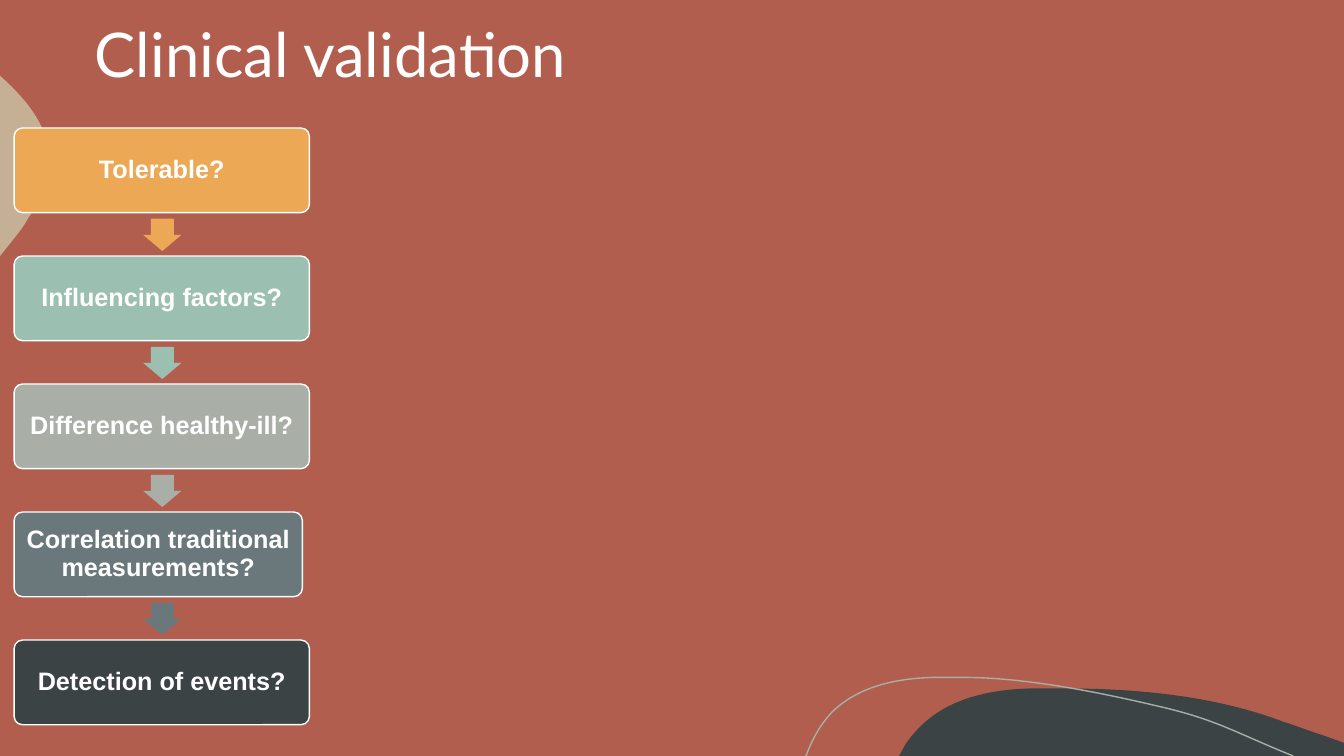
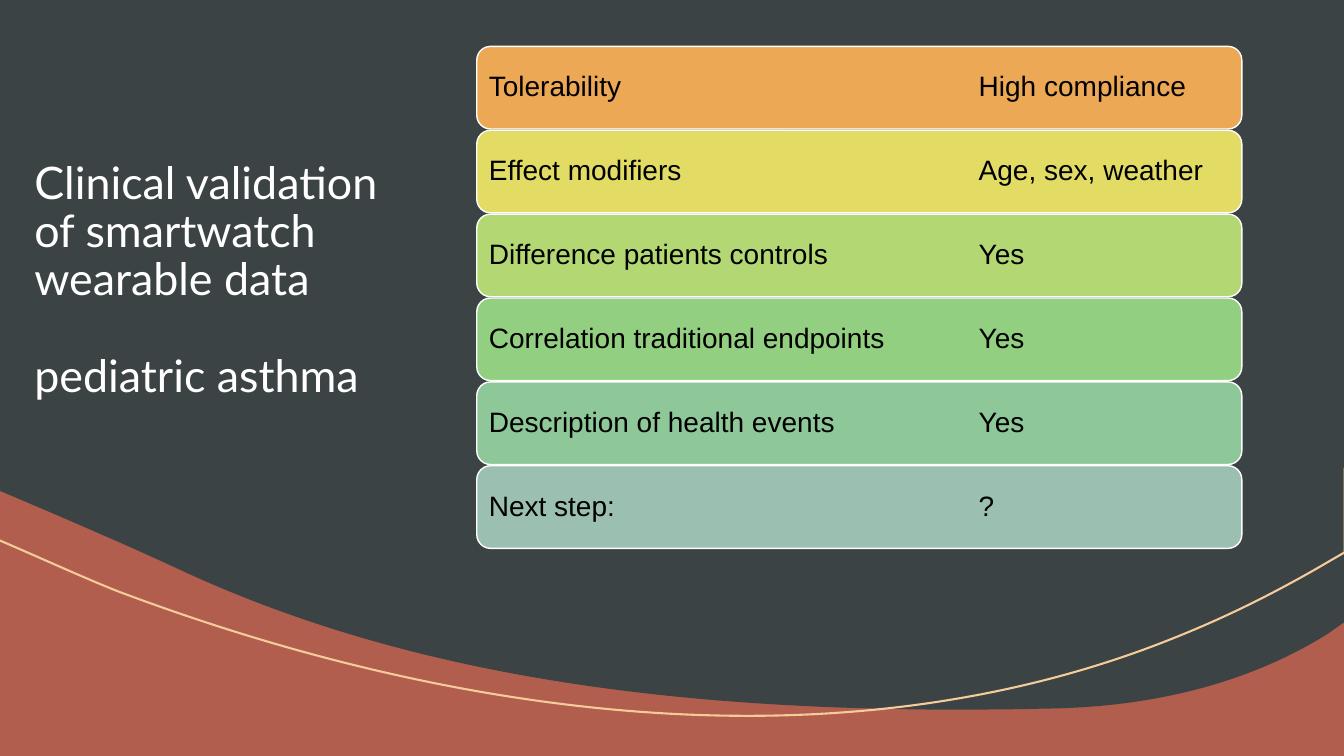
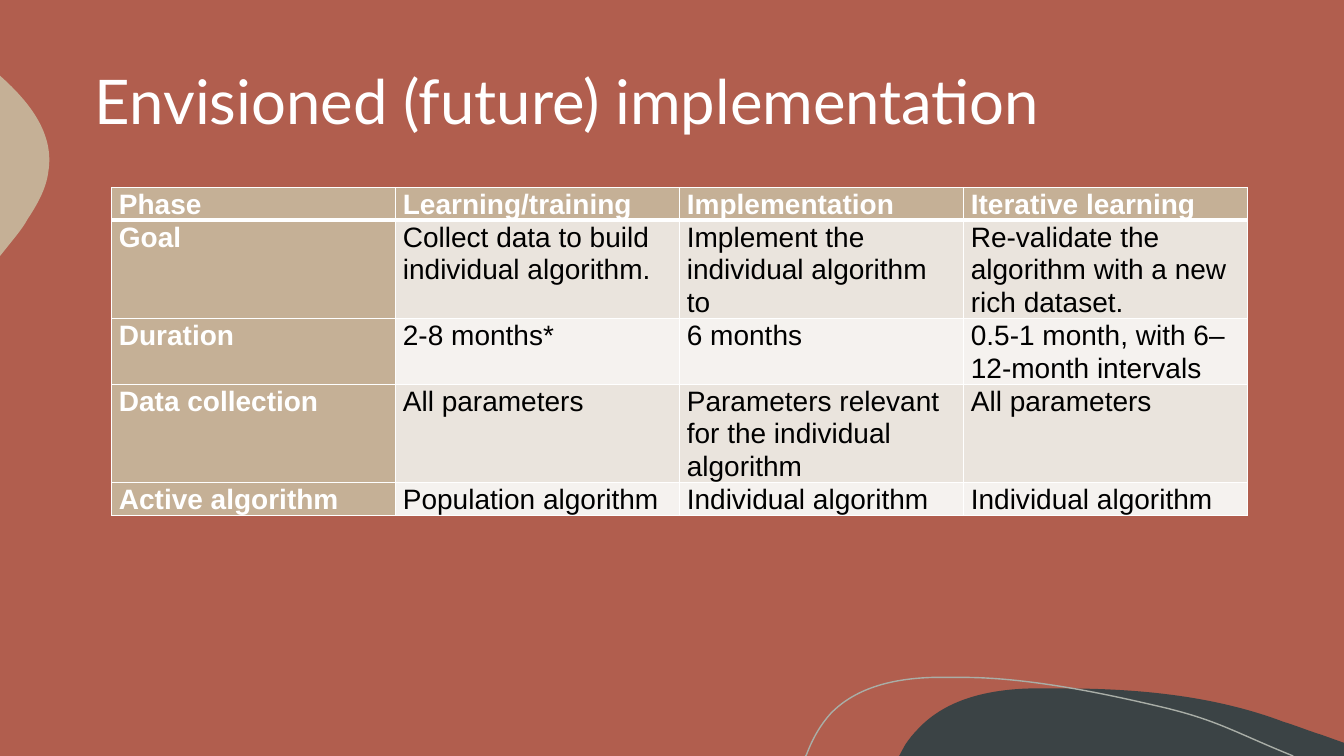
import pptx
import pptx.dml.color
import pptx.enum.shapes
import pptx.enum.text
import pptx.oxml
import pptx.oxml.ns
import pptx.util
from lxml import etree

Inches = pptx.util.Inches
Pt = pptx.util.Pt
qn = pptx.oxml.ns.qn
SHAPE = pptx.enum.shapes.MSO_SHAPE
ALIGN = pptx.enum.text.PP_ALIGN
ANCHOR = pptx.enum.text.MSO_ANCHOR

PAGE_WIDTH, PAGE_HEIGHT = 40 / 3, 7.5
WHITE, BLACK = "FFFFFF", "000000"
RUST, SLATE, SAND, SAGE, STONE = "B15E4E", "3B4345", "C5B096", "9BBFB0", "A9AEA7"
STEEL, ORANGE, PEACH = "6A787C", "ECA855", "F4CB99"
BAND_DARK, BAND_LIGHT = "EAE4DD", "F5F2EF"

DARK_HILL = [
    (10.54, 6.83), (11.28, 6.83, 12.04, 6.9, 12.73, 7.16),
    (12.86, 7.2, 12.98, 7.25, 13.11, 7.29), (PAGE_WIDTH, 7.37), (PAGE_WIDTH, 7.5),
    (8.92, 7.5), (8.98, 7.39), (9.02, 7.33, 9.06, 7.28, 9.11, 7.23),
    (9.39, 6.93, 9.82, 6.84, 10.23, 6.83), (10.33, 6.83, 10.43, 6.83, 10.54, 6.83),
]
SAND_PEBBLE = [
    (0, 0.75), (0.01, 0.76), (0.3, 1.02, 0.54, 1.33, 0.48, 1.7),
    (0.46, 1.87, 0.37, 2.03, 0.27, 2.18), (0.24, 2.24, 0.17, 2.33, 0.08, 2.44),
    (0, 2.54),
]
HILL_LINE = [
    (7.99, 7.5), (8, 7.49), (8.06, 7.33, 8.14, 7.19, 8.24, 7.08),
    (8.5, 6.81, 8.89, 6.73, 9.26, 6.72), (9.55, 6.72),
    (10.22, 6.72, 11, 6.89, 11.55, 7.02), (12.09, 7.15, 12.26, 7.27, 12.83, 7.5),
]
DARK_WAVE = [
    (0, 0), (13.34, 0), (13.34, 6.17), (13.17, 6.29),
    (12.32, 6.82, 11.33, 7.02, 10.37, 7.03), (10.02, 7.04, 9.66, 7.04, 9.3, 7.04),
    (6.77, 7.02, 4.14, 6.75, 1.78, 5.65), (1.35, 5.45, 0.91, 5.26, 0.47, 5.07),
    (0, 4.87),
]
WAVE_LINE = [
    (13.34, 4.64), (13.34, 5.48), (13.03, 5.66),
    (12.64, 5.88, 12.2, 6.11, 11.62, 6.34), (8.41, 7.62, 4.65, 7.16, 1.26, 5.9),
    (0.98, 5.8, 0.37, 5.52, -0.03, 5.35),
]

STEPS = [
    ("Tolerable?", ORANGE, 2.93),
    ("Influencing factors?", SAGE, 2.93),
    ("Difference healthy-ill?", STONE, 2.93),
    ("Correlation traditional measurements?", STEEL, 2.86),
    ("Detection of events?", SLATE, 2.93),
]
FINDINGS = [
    ("Tolerability", "High compliance", ORANGE),
    ("Effect modifiers", "Age, sex, weather", "E2DC64"),
    ("Difference patients controls", "Yes", "B3D873"),
    ("Correlation traditional endpoints", "Yes", "93CF81"),
    ("Description of health events", "Yes", "8EC798"),
    ("Next step:", "?", SAGE),
]
PHASES = [
    ("Phase", "Learning/training", "Implementation", "Iterative learning"),
    ("Goal", "Collect data to build individual algorithm.",
     "Implement the individual algorithm to",
     "Re-validate the algorithm with a new rich dataset."),
    ("Duration", "2-8 months*", "6 months", "0.5-1 month, with 6–12-month intervals"),
    ("Data collection", "All parameters",
     "Parameters relevant for the individual algorithm", "All parameters"),
    ("Active algorithm", "Population algorithm", "Individual algorithm",
     "Individual algorithm"),
]
ROW_HEIGHTS = [0.18, 0.55, 0.36, 0.55, 0.18]


def paint(fill, color):
    """Fill solidly with a hex colour, or with nothing for None."""
    if color is None:
        fill.background()
    else:
        fill.solid()
        fill.fore_color.rgb = pptx.dml.color.RGBColor.from_string(color)


def style_shape(shape, fill=None, line=None, weight=1):
    """Set the fill and outline of a shape and drop its shadow."""
    shape.shadow.inherit = False
    paint(shape.fill, fill)
    paint(shape.line.fill, line)
    if line:
        shape.line.width = Pt(weight)


def write(frame, text, size=20, color=BLACK, font="Arial", bold=False,
          align=ALIGN.LEFT, anchor=ANCHOR.MIDDLE, spacing=0.9, gap=0, after=0, inset=None):
    """Put text in a frame, one paragraph a line, in one format."""
    frame.word_wrap = True
    frame.vertical_anchor = anchor
    if inset is not None:
        frame.margin_left = frame.margin_right = Inches(inset)
        frame.margin_top = frame.margin_bottom = Inches(inset)
    for index, line in enumerate(text.split("\n")):
        para = frame.add_paragraph() if index else frame.paragraphs[0]
        para.alignment = align
        para.line_spacing = spacing
        para.space_before = Pt(gap if index else 0)
        para.space_after = Pt(after)
        span = para.add_run()
        span.text = line
        span.font.size = Pt(size)
        span.font.name = font
        span.font.bold = bold
        span.font.color.rgb = pptx.dml.color.RGBColor.from_string(color)


def add_box(page, kind, left, top, width, height, fill, line=None):
    """Add a preset shape with a plain fill."""
    shape = page.shapes.add_shape(
        kind, Inches(left), Inches(top), Inches(width), Inches(height))
    style_shape(shape, fill, line)
    return shape


def add_curve(page, outline, closed=True, **style):
    """Draw an outline of points and cubic curves as a freeform."""
    corners = [(Inches(part[-2]), Inches(part[-1])) for part in outline]
    builder = page.shapes.build_freeform(*corners[0])
    builder.add_line_segments(corners[1:], close=False)
    shape = builder.convert_to_shape()
    lines = list(shape.element.iter(qn("a:lnTo")))
    for part, straight in zip(outline[1:], lines):
        if len(part) == 6:
            straight.addprevious(make_bend(part, shape.left, shape.top))
            straight.getparent().remove(straight)
    if closed:
        etree.SubElement(next(shape.element.iter(qn("a:path"))), qn("a:close"))
    style_shape(shape, **style)
    return shape


def make_bend(part, left, top):
    """Return a cubic curve element relative to a corner."""
    bend = pptx.oxml.parse_xml(f'<a:cubicBezTo {pptx.oxml.ns.nsdecls("a")}/>')
    for x, y in zip(part[0::2], part[1::2]):
        etree.SubElement(bend, qn("a:pt"), x=str(Inches(x) - left), y=str(Inches(y) - top))
    return bend


def decorate_master(deck, page):
    """Set the shared background and move the shared curves to the master."""
    master = deck.slide_master
    paint(master.background.fill, RUST)
    curves = [
        add_curve(page, DARK_HILL, fill=SLATE),
        add_curve(page, SAND_PEBBLE, fill=SAND),
        add_curve(page, HILL_LINE, closed=False, line=STONE),
    ]
    first = master.placeholders[0].element
    for number, curve in enumerate(curves, 101):
        curve.element.nvSpPr.cNvPr.id = number
        first.addprevious(curve.element)


def set_title(page, text, left, top, width, height, size=44, **format):
    """Place and fill the title placeholder."""
    title = page.shapes.title
    title.left, title.top = Inches(left), Inches(top)
    title.width, title.height = Inches(width), Inches(height)
    title.text_frame.auto_size = pptx.enum.text.MSO_AUTO_SIZE.NONE
    write(title.text_frame, text, size=size, color=WHITE, font="Lato", **format)


def add_steps(page, left, top, pitch=1.27, height=0.84):
    """Stack the question boxes with an arrow between neighbours."""
    for index, (question, color, width) in enumerate(STEPS):
        y = top + index * pitch
        box = add_box(page, SHAPE.ROUNDED_RECTANGLE, left, y, width, height, color, WHITE)
        box.adjustments[0] = 0.1
        write(box.text_frame, question, size=18, color=WHITE, bold=True,
              align=ALIGN.CENTER, inset=0.08)
        if index < len(STEPS) - 1:
            arrow = add_box(page, SHAPE.DOWN_ARROW, left + 1.28, y + 0.9, 0.38, 0.32, color)
            arrow.adjustments[0] = 0.6
            arrow.adjustments[1] = 0.5


def add_findings(page, left, top, bottom, width=7.59, height=0.82):
    """Stack the finding bars evenly, each with its answer at a tab stop."""
    pitch = (bottom - height - top) / (len(FINDINGS) - 1)
    for index, (topic, answer, color) in enumerate(FINDINGS):
        bar = add_box(page, SHAPE.ROUNDED_RECTANGLE, left, top + index * pitch,
                      width, height, color, WHITE)
        write(bar.text_frame, f"{topic}\t{answer}", inset=0.08)
        properties = bar.text_frame.paragraphs[0]._p.get_or_add_pPr()
        tabs = etree.SubElement(properties, qn("a:tabLst"))
        etree.SubElement(tabs, qn("a:tab"), pos=str(Inches(4.86)), algn="l")


def add_borders(cell, header):
    """Rule a cell in white, with a heavy line below the header."""
    properties = cell._tc.get_or_add_tcPr()
    for index, side in enumerate(("lnL", "lnR", "lnT", "lnB")):
        heavy = header and side == "lnB"
        border = pptx.oxml.parse_xml(
            f'<a:{side} {pptx.oxml.ns.nsdecls("a")} w="{Pt(3 if heavy else 1)}">'
            f'<a:solidFill><a:srgbClr val="{WHITE}"/></a:solidFill></a:{side}>')
        properties.insert(index, border)


def add_phases(page, left, top, width):
    """Add the table of phases."""
    frame = page.shapes.add_table(
        len(PHASES), len(PHASES[0]), Inches(left), Inches(top), Inches(width),
        Inches(sum(ROW_HEIGHTS)))
    table = frame.table
    for row, height in enumerate(ROW_HEIGHTS):
        table.rows[row].height = Inches(height)
        for column, text in enumerate(PHASES[row]):
            cell = table.cell(row, column)
            heading = row == 0 or column == 0
            band = BAND_DARK if row % 2 else BAND_LIGHT
            paint(cell.fill, SAND if heading else band)
            add_borders(cell, row == 0)
            cell.margin_left = cell.margin_right = Inches(0.07)
            cell.margin_top = cell.margin_bottom = 0
            write(cell.text_frame, text, color=WHITE if heading else BLACK,
                  bold=heading, anchor=ANCHOR.TOP, spacing=1.05, after=8)
            cell.vertical_anchor = ANCHOR.TOP


def build_questions(page):
    """Build the slide of validation questions."""
    set_title(page, "Clinical validation", 0.84, -0.12, 11.67, 1.39)
    add_steps(page, 0.14, 1.27)


def build_findings(page):
    """Build the slide of findings on a dark wave."""
    add_box(page, SHAPE.RECTANGLE, 0, 0, PAGE_WIDTH, PAGE_HEIGHT, RUST)
    add_curve(page, DARK_WAVE, fill=SLATE)
    add_curve(page, WAVE_LINE, closed=False, line=PEACH, weight=1.5)
    title = page.shapes.title.element
    title.getparent().append(title)
    set_title(page, "Clinical validation of smartwatch wearable data\npediatric asthma",
              0.24, 1.54, 3.94, 2.5, size=32, anchor=ANCHOR.TOP, gap=34.6)
    add_findings(page, 4.73, 0.46, 5.44)


def build_phases(page):
    """Build the slide of the phase table."""
    set_title(page, "Envisioned (future) implementation", 0.84, 0.2, 11.67, 1.67)
    add_phases(page, 1.11, 1.86, 11.27)


def main():
    """Build and save the deck."""
    deck = pptx.Presentation()
    deck.slide_width, deck.slide_height = Inches(PAGE_WIDTH), Inches(PAGE_HEIGHT)
    title_only = deck.slide_layouts[5]
    pages = [deck.slides.add_slide(title_only) for _ in range(3)]
    decorate_master(deck, pages[0])
    for build, page in zip((build_questions, build_findings, build_phases), pages):
        build(page)
    deck.save("out.pptx")


if __name__ == "__main__":
    main()
